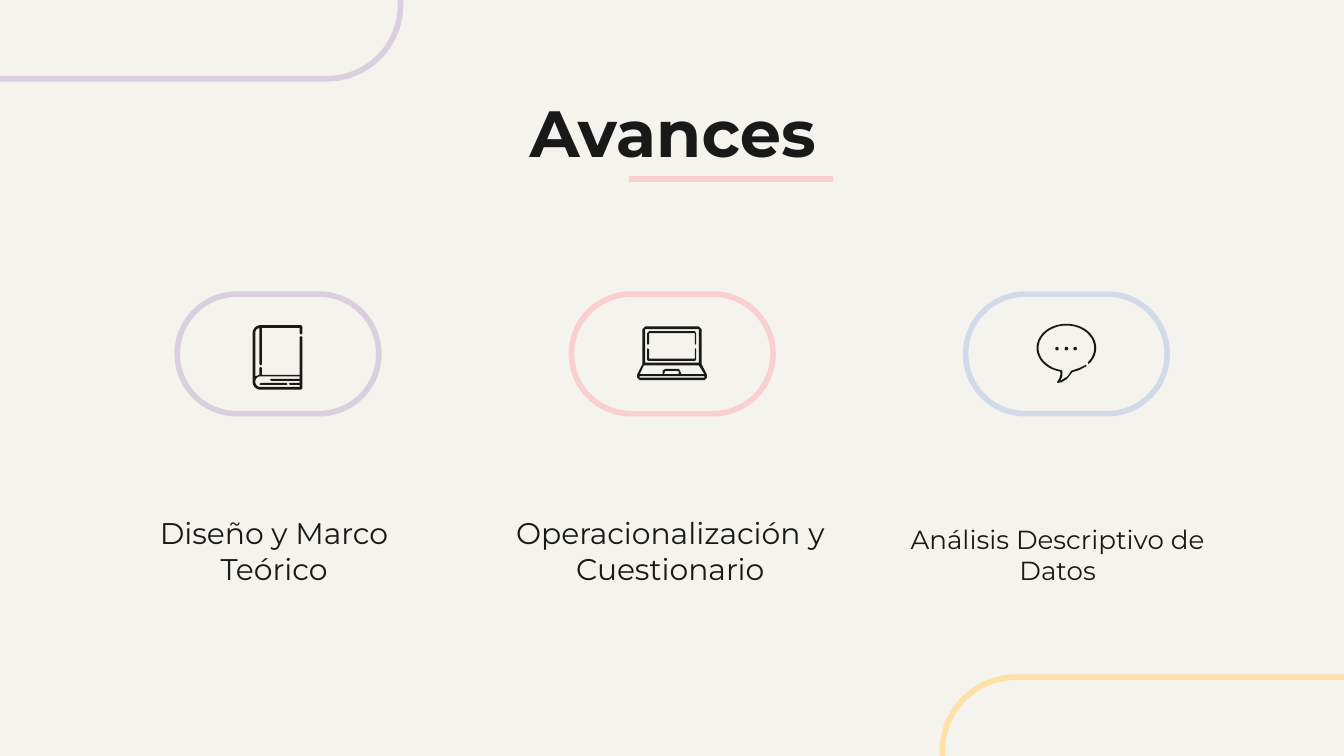
from math import cos, radians, sin

from lxml import etree
from pptx import Presentation
from pptx.dml.color import RGBColor
from pptx.enum.shapes import MSO_CONNECTOR, MSO_SHAPE
from pptx.enum.text import MSO_ANCHOR, PP_ALIGN
from pptx.oxml.ns import qn
from pptx.util import Cm, Pt

CREAM = RGBColor(0xF5, 0xF3, 0xED)
INK = RGBColor(0x19, 0x19, 0x19)
LILAC = RGBColor(0xD9, 0xCF, 0xDE)
PINK = RGBColor(0xF9, 0xCF, 0xD0)
BLUE = RGBColor(0xD2, 0xDA, 0xE9)
YELLOW = RGBColor(0xFF, 0xE0, 0xA7)
ICON_UNIT = Cm(2.54) / 100  # icon coordinates count from the slide corner


def arc(cx, cy, rx, ry, start, end):
    """Points along an ellipse, clockwise angles in degrees."""
    steps = max(6, round(abs(end - start) / 6))
    angles = [radians(start + (end - start) * i / steps) for i in range(steps + 1)]
    return [(cx + rx * cos(a), cy + ry * sin(a)) for a in angles]


def draw_part(icon, contours):
    """One filled outline; inner contours become holes."""
    contours = [[(round(x * 10), round(y * 10)) for x, y in c] for c in contours]
    builder = icon.shapes.build_freeform(*contours[0][0], scale=ICON_UNIT / 10)
    for i, points in enumerate(contours):
        if i:
            builder.move_to(*points[0])
        builder.add_line_segments(points[1:], close=True)
    part = builder.convert_to_shape()
    part.shadow.inherit = False
    part.fill.solid()
    part.fill.fore_color.rgb = INK
    part.line.fill.background()


prs = Presentation()
prs.slide_width, prs.slide_height = Cm(25.4), Cm(14.29)
slide = prs.slides.add_slide(prs.slide_layouts[6])
slide.background.fill.solid()
slide.background.fill.fore_color.rgb = CREAM

# Corner outlines and the three icon frames
capsules = [(-3.63, -1.3, 11.2, 2.79, LILAC), (17.81, 12.8, 11.2, 2.79, YELLOW)]
for i, color in enumerate((LILAC, PINK, BLUE)):
    capsules.append((3.35 + 7.45 * i, 5.56, 3.81, 2.26, color))
for left, top, width, height, color in capsules:
    capsule = slide.shapes.add_shape(
        MSO_SHAPE.ROUNDED_RECTANGLE, Cm(left), Cm(top), Cm(width), Cm(height))
    capsule.adjustments[0] = 0.5
    capsule.shadow.inherit = False
    capsule.fill.background()
    capsule.line.color.rgb = color
    capsule.line.width = Pt(3)

# Title and the three captions
texts = [
    ("Avances", 2.01, 1.5, 21.41, 1.6, 35, True, MSO_ANCHOR.TOP),
    ("Diseño y Marco Teórico", 1.93, 9.86, 6.5, 1.47, 16, False, MSO_ANCHOR.BOTTOM),
    ("Operacionalización y Cuestionario", 9.42, 9.86, 6.5, 1.47, 16, False, MSO_ANCHOR.BOTTOM),
    ("Análisis Descriptivo de Datos", 16.74, 9.86, 6.5, 1.47, 14, False, MSO_ANCHOR.BOTTOM),
]
for text, left, top, width, height, size, bold, anchor in texts:
    frame = slide.shapes.add_textbox(Cm(left), Cm(top), Cm(width), Cm(height)).text_frame
    frame.word_wrap = True
    frame.vertical_anchor = anchor
    frame.margin_left = frame.margin_right = Cm(0.25)
    frame.margin_top = frame.margin_bottom = Cm(0.25)
    frame.text = text
    paragraph = frame.paragraphs[0]
    paragraph.alignment = PP_ALIGN.CENTER
    font = paragraph.runs[0].font
    font.name, font.size, font.bold = "Montserrat", Pt(size), bold
    font.color.rgb = INK

# Title underline
underline = slide.shapes.add_connector(
    MSO_CONNECTOR.STRAIGHT, Cm(11.89), Cm(3.38), Cm(15.75), Cm(3.38))
underline.line.color.rgb = PINK
underline.line.width = Pt(3)
etree.SubElement(underline._element.spPr, qn("a:effectLst"))

# Book icon: cover with page edges, then the lowest page line
book = slide.shapes.add_group_shape()
draw_part(book, [
    [(224, 242), (225, 243), (225, 248), (224, 249), (223, 248), (223, 244),
     (195, 244), (195, 271), (194, 272), (193, 271), (193, 244), (191, 245),
     (190, 247), (190, 280), (193, 279), (193, 274), (194, 273), (195, 274),
     (195, 279), (223, 279), (223, 251), (224, 250), (225, 251), (225, 289),
     (224, 290)] + arc(194, 284, 6, 6, 90, 180) + arc(194, 248, 6, 6, 180, 270),
    [(223, 280), (223, 282), (202, 282), (201, 282.5), (202, 283.5), (223, 283.5),
     (223, 285), (216, 285), (215, 285.5), (216, 286.5), (223, 286.5), (223, 288)]
    + arc(194, 284, 4, 4, 90, 270),
])
draw_part(book, [[(194, 285), (193, 286), (194, 286.5), (213, 286.5), (214, 286), (213, 285)]])

# Laptop icon: body, then the lower and upper halves of the inner screen frame
laptop = slide.shapes.add_group_shape()
draw_part(laptop, [
    [(480, 243), (478, 245), (478, 271), (474, 279), (474, 281), (476, 283),
     (524, 283), (526, 281), (526, 279), (522, 271), (522, 245), (520, 243)],
    [(520, 245), (520, 270), (480, 270), (480, 245)],
    [(505, 276), (505, 278.5), (494, 278.5), (495, 276)],
    [(520, 272), (524, 278.5), (507, 278.5), (506, 276), (505, 274.5),
     (495, 274.5), (493, 276), (493, 278.5), (476, 278.5), (479, 272)],
    [(524, 280), (524, 281), (476, 281), (476, 280)],
])
draw_part(laptop, [[
    (482, 259), (481.5, 260), (481.5, 268), (482.5, 268.5), (517, 268.5), (518, 268),
    (518, 260), (517.5, 259), (517, 260), (517, 267), (483, 267), (483, 260)]])
draw_part(laptop, [[
    (483, 246.5), (481.5, 248), (481.5, 256), (482, 256.5), (483, 256), (483, 248),
    (517, 248), (517, 256), (517.5, 256.5), (518, 256), (518, 248), (517, 246.5)]])

# Speech bubble icon: three dots and the open outline with its tail
bubble = slide.shapes.add_group_shape()
for x in (786.5, 793.5, 800):
    draw_part(bubble, [arc(x, 259.5, 1.3, 1.3, 0, 360)])
draw_part(bubble, [
    arc(793.5, 259, 22.2, 18, 42, -258)
    + [(789, 279), (788, 282), (786.5, 284.5), (787, 285), (790, 284.5), (794, 282),
       (798, 277), (803, 275.5), (808.5, 272.5), (808, 271.5), (803, 274),
       (797, 276), (794.5, 280), (789, 283.5), (790.5, 280), (790.5, 276)]
    + arc(793.5, 259, 20.7, 16.7, -258, 40)])

prs.save("out.pptx")
